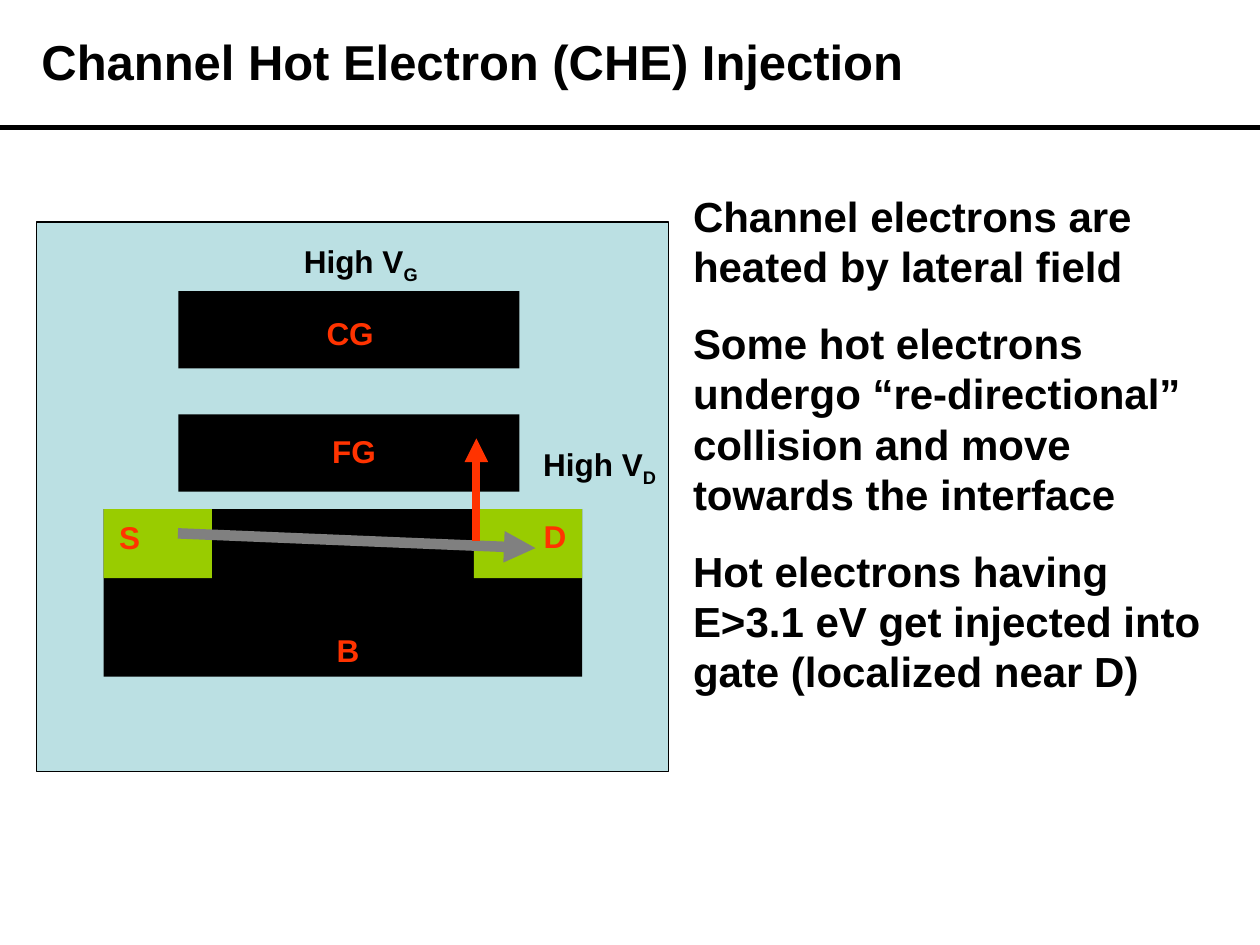
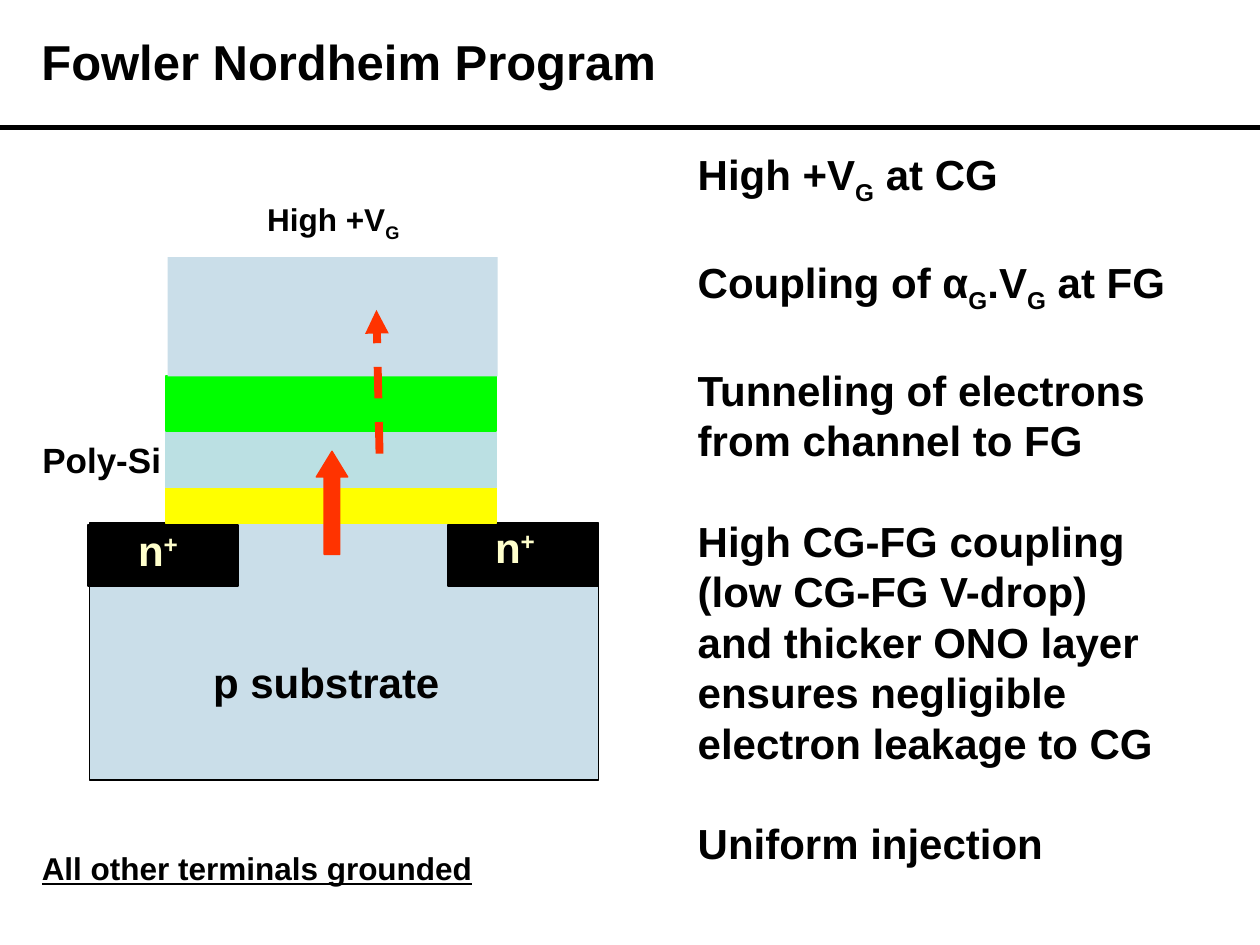
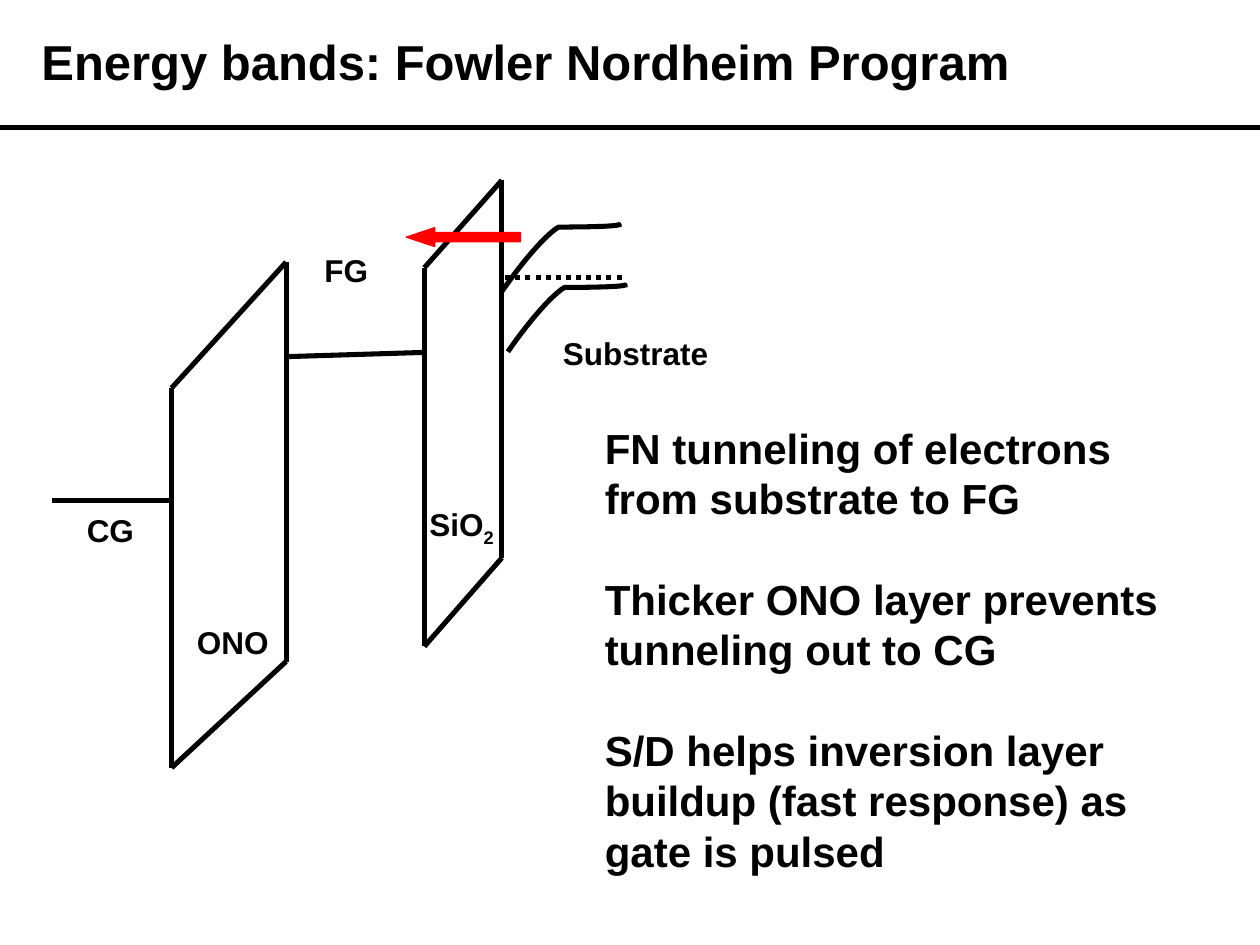
from pptx import Presentation
from pptx.dml.color import RGBColor
from pptx.enum.dml import MSO_LINE
from pptx.enum.shapes import MSO_CONNECTOR, MSO_SHAPE
from pptx.enum.text import MSO_ANCHOR, MSO_AUTO_SIZE, PP_ALIGN
from pptx.oxml.ns import qn
from pptx.util import Pt
from lxml.etree import SubElement

COLORS = {
    "black": "000000",
    "panel": "BBE0E3",
    "silicon": "CADEE9",
    "junction": "99CC00",
    "ono": "00FF00",
    "oxide": "FFFF00",
    "injection": "FF3300",
    "tunneling": "FF0000",
    "channel": "808080",
    "cream": "FFFFCC",
}
FONT = "Arial"
BASELINES = {"_": "-25000", "^": "30000"}
BODY_SIZE = 24
BODY_GAP = 28.8
BAND_WIDTH = 2.89
BENDS = [
    [(0, 0), (22.3, -31.7), (32.4, -36.7), (32.4, -36.7)],
    [(32.4, -36.7), (32.4, -36.7), (67, -36.7), (67, -38.2)],
]
BEND_STEPS = 12


def rgb(color):
    return RGBColor.from_string(COLORS[color])


def write(paragraph, marked, size, color="black", underline=None):
    """Pieces are split by |; a leading _ or ^ makes a sub- or superscript."""
    for piece in marked.split("|"):
        run = paragraph.add_run()
        run.text = piece.lstrip("_^")
        run.font.name = FONT
        run.font.size = Pt(size)
        run.font.bold = True
        run.font.underline = underline
        run.font.color.rgb = rgb(color)
        if piece[0] in BASELINES:
            run.font._element.set("baseline", BASELINES[piece[0]])


def prepare(frame):
    frame.word_wrap = True
    frame.auto_size = MSO_AUTO_SIZE.NONE
    frame.vertical_anchor = MSO_ANCHOR.TOP


def place(placeholder, left, top, width, height):
    placeholder.left, placeholder.top = Pt(left), Pt(top)
    placeholder.width, placeholder.height = Pt(width), Pt(height)
    prepare(placeholder.text_frame)


def add_content_slide(deck, heading, points, box, gap):
    slide = deck.slides.add_slide(deck.slide_layouts[1])
    add_line(slide, (0, 72.7), (720, 72.7), "black", 3)

    title = slide.shapes.title
    place(title, 16.5, 14.4, 640, 41)
    line = title.text_frame.paragraphs[0]
    line.alignment = PP_ALIGN.LEFT
    write(line, heading, 28)

    body = slide.placeholders[1]
    place(body, *box)
    frame = body.text_frame
    for index, point in enumerate(points):
        paragraph = frame.add_paragraph() if index else frame.paragraphs[0]
        paragraph.space_before = Pt(gap if index else 0)
        properties = paragraph._p.get_or_add_pPr()
        properties.set("marL", "0")
        properties.set("indent", "0")
        SubElement(properties, qn("a:buNone"))
        write(paragraph, point, BODY_SIZE)
    return slide


def add_label(slide, marked, left, top, width, size=18, color="black", underline=None):
    label = slide.shapes.add_textbox(Pt(left), Pt(top), Pt(width), Pt(size * 1.2 + 7.2))
    prepare(label.text_frame)
    write(label.text_frame.paragraphs[0], marked, size, color, underline)


def add_block(slide, left, top, width, height, fill, outline=None, weight=1,
              kind=MSO_SHAPE.RECTANGLE, adjustments=()):
    block = slide.shapes.add_shape(kind, Pt(left), Pt(top), Pt(width), Pt(height))
    block.shadow.inherit = False
    block.fill.solid()
    block.fill.fore_color.rgb = rgb(fill)
    if outline:
        block.line.color.rgb = rgb(outline)
        block.line.width = Pt(weight)
    else:
        block.line.fill.background()
    for index, value in enumerate(adjustments):
        block.adjustments[index] = value


def add_line(slide, start, end, color="black", weight=BAND_WIDTH, dash=None, arrow=False):
    line = slide.shapes.add_connector(
        MSO_CONNECTOR.STRAIGHT, *(Pt(value) for value in (*start, *end)))
    line.line.color.rgb = rgb(color)
    line.line.width = Pt(weight)
    if dash:
        line.line.dash_style = dash
    if arrow:
        SubElement(line.line._get_or_add_ln(), qn("a:tailEnd"), type="triangle")
    SubElement(line._element.spPr, qn("a:effectLst"))


def add_barrier(slide, left, left_top, left_bottom, right, right_top, right_bottom):
    corners = [(left, left_top), (right, right_top),
               (right, right_bottom), (left, left_bottom)]
    for start, end in zip(corners, corners[1:] + corners[:1]):
        add_line(slide, start, end)


def bezier(controls, t):
    weights = ((1 - t) ** 3, 3 * t * (1 - t) ** 2, 3 * t ** 2 * (1 - t), t ** 3)
    return tuple(sum(w * c[axis] for w, c in zip(weights, controls)) for axis in (0, 1))


def add_band_edge(slide, left, bottom):
    offsets = [bezier(bend, step / BEND_STEPS)
               for bend in BENDS for step in range(1, BEND_STEPS + 1)]
    offsets.append((67, -36.7))
    builder = slide.shapes.build_freeform(Pt(left), Pt(bottom))
    builder.add_line_segments(
        [(Pt(left + x), Pt(bottom + y)) for x, y in offsets], close=False)
    edge = builder.convert_to_shape()
    edge.shadow.inherit = False
    edge.fill.background()
    edge.line.color.rgb = rgb("black")
    edge.line.width = Pt(BAND_WIDTH)


def build_hot_electron(deck):
    slide = add_content_slide(deck, "Channel Hot Electron (CHE) Injection", [
        "Channel electrons are heated by lateral field",
        "Some hot electrons undergo “re-directional” collision and move towards the interface",
        "Hot electrons having E>3.1 eV get injected into gate (localized near D)",
    ], (388.8, 105.1, 305.3, 297), 15)
    add_block(slide, 20.9, 126.9, 361, 314, "panel", "black", 0.75)
    add_block(slide, 59.2, 291, 273.5, 95.7, "black")
    for junction_left in (59.2, 270.8):
        add_block(slide, junction_left, 291, 61.9, 39.4, "junction")
    for gate_top in (166.3, 236.8):
        add_block(slide, 102, gate_top, 194.9, 44.2, "black")
    for name, left, top in [("S", 61, 292.5), ("D", 303.6, 292), ("FG", 182.7, 243.3),
                            ("B", 185.3, 357), ("CG", 179.5, 175.9)]:
        add_label(slide, name, left, top, 46, color="injection")
    add_line(slide, (101.7, 304.8), (306, 313.2), "channel", 6, arrow=True)
    add_line(slide, (272.2, 309), (272.2, 250.5), "injection", 4.5, arrow=True)
    add_label(slide, "High V|_G", 166.5, 134.8, 82)
    add_label(slide, "High V|_D", 303.3, 250.6, 82)


def build_fowler_nordheim(deck):
    slide = add_content_slide(deck, "Fowler Nordheim Program", [
        "High +V|_G| at CG",
        "Coupling of α|_G|.V|_G| at FG",
        "Tunneling of electrons from channel to FG",
        "High CG-FG coupling (low CG-FG V-drop) and thicker ONO layer "
        "ensures negligible electron leakage to CG",
        "Uniform injection",
    ], (391.5, 81.4, 285.1, 418.3), BODY_GAP)
    add_block(slide, 51.1, 299, 290.9, 146.9, "silicon", "black")
    for junction_left in (50.3, 256.2):
        add_block(slide, junction_left, 299.8, 85.7, 35.3, "black", "black")
    for top, height, layer in [(278.9, 20.2, "oxide"), (247, 31.7, "panel"),
                               (214.8, 31.7, "ono")]:
        add_block(slide, 94.7, top, 188.9, height, layer, layer)
    add_block(slide, 95.8, 146.9, 188.6, 68.2, "silicon")
    add_label(slide, "p substrate", 114.7, 371.5, 169, BODY_SIZE)
    for left, top in [(71.8, 295.9), (275.8, 294.3)]:
        add_label(slide, "n|^+", left, top, 72.7, BODY_SIZE, "cream")
    add_label(slide, "Poly-Si", 17.1, 247, 92.9, 20)
    add_label(slide, "High +V|_G", 145.6, 110.9, 96.5)
    add_label(slide, "All other terminals grounded", 16.8, 481.7, 263, underline=True)
    add_block(slide, 180.7, 257.8, 18, 59, "injection", "injection", 0.75,
              MSO_SHAPE.UP_ARROW, (0.5, 0.82))
    add_line(slide, (216.9, 259.2), (215.1, 177.1), "injection", 4.5, MSO_LINE.DASH, True)


def build_energy_bands(deck):
    slide = add_content_slide(deck, "Energy bands: Fowler Nordheim Program", [
        "FN tunneling of electrons from substrate to FG",
        "Thicker ONO layer prevents tunneling out to CG",
        "S/D helps inversion layer buildup (fast response) as gate is pulsed",
    ], (338.4, 237.6, 356.4, 266.4), BODY_GAP)
    add_barrier(slide, 242.5, 153, 369.4, 286.8, 103, 318.8)
    add_barrier(slide, 98, 221.8, 438.8, 163.5, 149.8, 378)
    add_line(slide, (164.2, 203.8), (242.5, 201.4))
    add_line(slide, (97.5, 285.8), (29.7, 285.8))
    add_band_edge(slide, 286.8, 166.5)
    add_band_edge(slide, 290.2, 201)
    add_line(slide, (288.7, 158.4), (355.7, 158.4), dash=MSO_LINE.ROUND_DOT)
    add_block(slide, 232.2, 130.1, 65.2, 10.8, "tunneling", "tunneling", 0.75,
              MSO_SHAPE.LEFT_ARROW, (0.5, 1.5))
    for name, left, top, width in [("CG", 42.5, 288.7, 43), ("FG", 178.3, 139.9, 42),
                                   ("ONO", 105.5, 352.5, 58),
                                   ("Substrate", 314.6, 187.1, 100),
                                   ("SiO|_2", 238.3, 285.1, 54)]:
        add_label(slide, name, left, top, width)


def main():
    deck = Presentation()
    deck.slide_width, deck.slide_height = Pt(720), Pt(540)
    build_hot_electron(deck)
    build_fowler_nordheim(deck)
    build_energy_bands(deck)
    deck.save("out.pptx")


if __name__ == "__main__":
    main()
